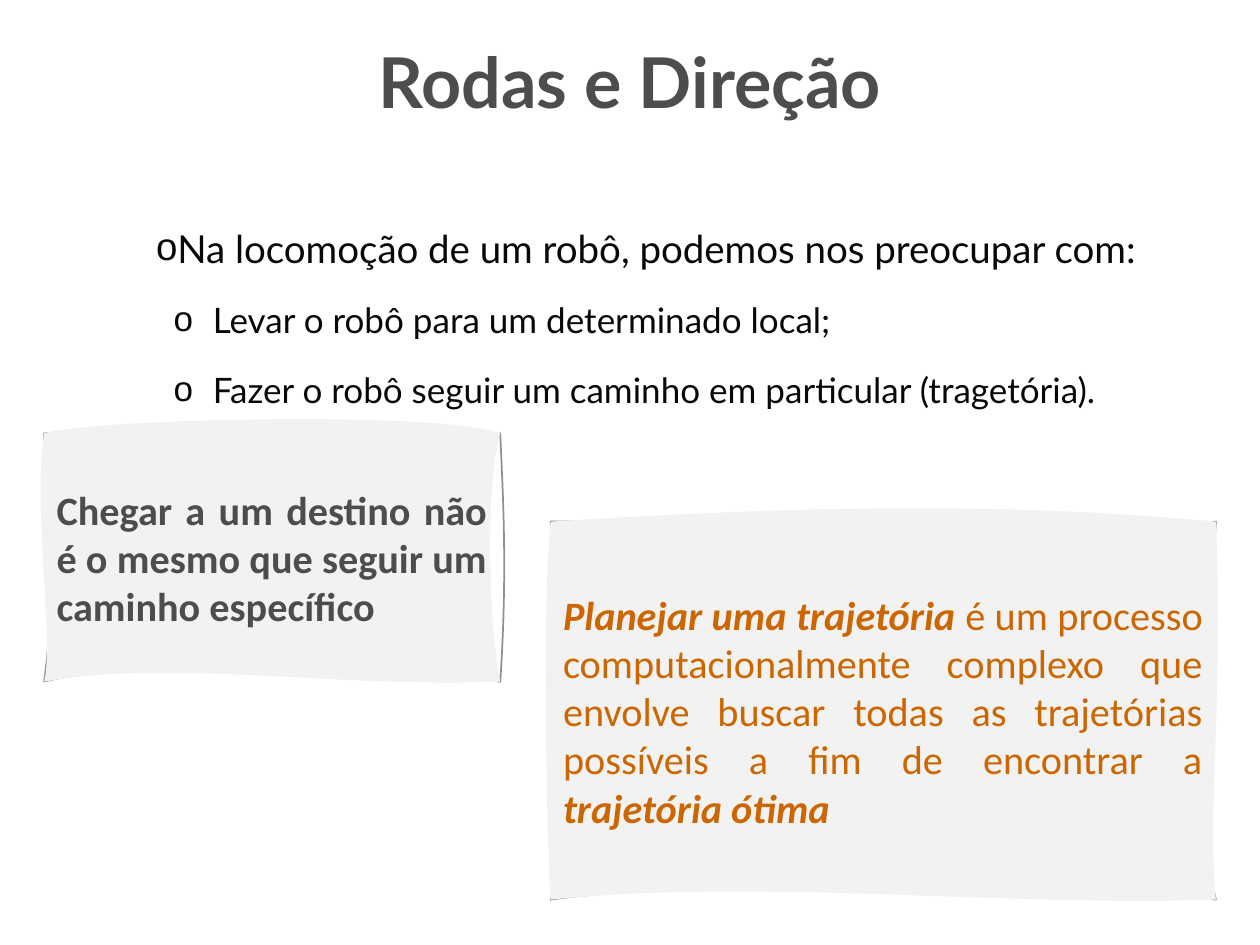
from dataclasses import dataclass

from lxml import etree
from pptx import Presentation
from pptx.dml.color import RGBColor
from pptx.enum import text as t
from pptx.oxml import ns
from pptx.util import Inches, Pt


@dataclass(frozen=True)
class Theme:
    gray: str = "4D4D4D"
    ink: str = "080808"
    accent: str = "CC6600"
    paper: str = "F2F2F2"
    edge: str = "909090"
    head: str = "Lato"
    body: str = "Calibri"
    mark: str = "Arial"
    title: int = 40
    main: int = 22
    sub: int = 20
    note: int = 23


THEME = Theme()


def style(font, color, **form):
    font.color.rgb = RGBColor.from_string(color)
    for key, val in form.items():
        setattr(font, key, val)


def add_node(root, tag, **attrs):
    node = etree.SubElement(root, ns.qn(tag))
    for key, val in attrs.items():
        node.set(key, str(val))
    return node


def add_box(slide, box):
    frame = slide.shapes.add_textbox(*map(Inches, box)).text_frame
    frame.word_wrap = True
    return frame


def add_title(slide, box, words):
    frame = add_box(slide, box)
    frame.vertical_anchor = t.MSO_ANCHOR.MIDDLE
    para = frame.paragraphs[0]
    para.text = words
    para.alignment = t.PP_ALIGN.CENTER
    style(para.runs[0].font, THEME.gray, name=THEME.head,
          size=Pt(THEME.title), bold=True)


def add_list(slide, box, items):
    """Place (level, words) items with hanging bullets."""
    looks = [(THEME.main, 0.01, -0.38), (THEME.sub, 0.45, -0.31)]
    frame = add_box(slide, box)
    for num, (level, words) in enumerate(items):
        size, left, hang = looks[level]
        para = frame.add_paragraph() if num else frame.paragraphs[0]
        para.text = words
        para.level = level
        para.alignment = t.PP_ALIGN.JUSTIFY
        para.line_spacing = 1.5
        para.space_before = Pt(size * 0.2 if num else 0)
        props = para._p.get_or_add_pPr()
        props.set("marL", str(Inches(left)))
        props.set("indent", str(Inches(hang)))
        add_node(props, "a:buFont", typeface=THEME.mark)
        add_node(props, "a:buChar", char="o")
        style(para.runs[0].font, THEME.ink, name=THEME.head, size=Pt(size))


def add_curve(paths, size, sides, **attrs):
    """Add a path whose four sides, clockwise from the top, bend to control points."""
    wide, high = size
    curve = add_node(paths, "a:path", w=Inches(wide), h=Inches(high), **attrs)

    def add_dot(root, dot):
        add_node(root, "a:pt", x=Inches(dot[0]), y=Inches(dot[1]))

    add_dot(add_node(curve, "a:moveTo"), (0, 0))
    ends = [(wide, 0), (wide, high), (0, high), (0, 0)]
    for pulls, end in zip(sides, ends):
        side = add_node(curve, "a:cubicBezTo")
        for dot in (*pulls, end):
            add_dot(side, dot)
    add_node(curve, "a:close")


def add_sheet(slide, box, edge, paper):
    """Place one sheet made of a loose outline and a filled face."""
    left, top, wide, high = box
    form = slide.shapes.build_freeform(Inches(left), Inches(top))
    form.add_line_segments([(Inches(left + x), Inches(top + y))
                            for x, y in [(wide, 0), (wide, high), (0, high)]])
    sheet = form.convert_to_shape()
    paths = sheet._element.spPr.find(".//" + ns.qn("a:pathLst"))
    for old in list(paths):
        paths.remove(old)
    add_curve(paths, (wide, high), edge, fill="none")
    add_curve(paths, (wide, high), paper, stroke="0")
    sheet.shadow.inherit = False
    sheet.fill.solid()
    sheet.fill.fore_color.rgb = RGBColor.from_string(THEME.paper)
    sheet.line.color.rgb = RGBColor.from_string(THEME.edge)
    sheet.line.width = Pt(1)
    return sheet


def add_card(slide, box, edge, paper, color, runs):
    """Place a sheet with text; runs are (words, bold, italic)."""
    frame = add_sheet(slide, box, edge, paper).text_frame
    frame.word_wrap = True
    frame.vertical_anchor = t.MSO_ANCHOR.MIDDLE
    para = frame.paragraphs[0]
    para.alignment = t.PP_ALIGN.JUSTIFY
    for words, bold, slant in runs:
        run = para.add_run()
        run.text = words
        style(run.font, color, name=THEME.body, size=Pt(THEME.note),
              bold=bold, italic=slant)


def main():
    deck = Presentation()
    deck.slide_width, deck.slide_height = Inches(10), Inches(7.5)
    slide = deck.slides.add_slide(deck.slide_layouts[6])

    add_title(slide, (1.42, 0.36, 7.16, 0.56), "Rodas e Direção")
    add_list(slide, (1.14, 1.55, 8.58, 1.89), [
        (0, "Na locomoção de um robô, podemos nos preocupar com:"),
        (1, "Levar o robô para um determinado local;"),
        (1, "Fazer o robô seguir um caminho em particular (tragetória)."),
    ])
    add_card(
        slide, (0.35, 3.44, 3.62, 1.97),
        edge=[((0.89, -0.04), (2.63, 0.15)), ((3.64, 0.47), (3.68, 1.08)),
              ((2.52, 1.81), (0.57, 1.81)), ((0.11, 1.15), (0.04, 0.86))],
        paper=[((0.39, -0.12), (3.16, -0.18)), ((3.49, 0.44), (3.54, 1.61)),
               ((2.28, 2.02), (1.03, 1.79)), ((0.08, 1.67), (-0.09, 0.61))],
        color=THEME.gray,
        runs=[("Chegar a um destino não é o mesmo que seguir um caminho específico",
               True, False)],
    )
    add_card(
        slide, (4.37, 4.14, 5.28, 3),
        edge=[((2.21, -0.03), (3.23, 0.16)), ((5.2, 1.11), (5.11, 2.31)),
              ((4.54, 2.85), (0.96, 2.85)), ((0.17, 2.55), (0.08, 1.21))],
        paper=[((1.75, -0.11), (3.48, -0.17)), ((5.34, 1.41), (5.21, 2.31)),
               ((3.64, 3.06), (1.7, 2.83)), ((-0.03, 2.63), (-0.07, 0.6))],
        color=THEME.accent,
        runs=[("Planejar uma trajetória", True, True),
              (" é um processo computacionalmente complexo que envolve buscar "
               "todas as trajetórias possíveis a fim de encontrar a ", False, False),
              ("trajetória ótima", True, True)],
    )
    deck.save("out.pptx")


if __name__ == "__main__":
    main()
